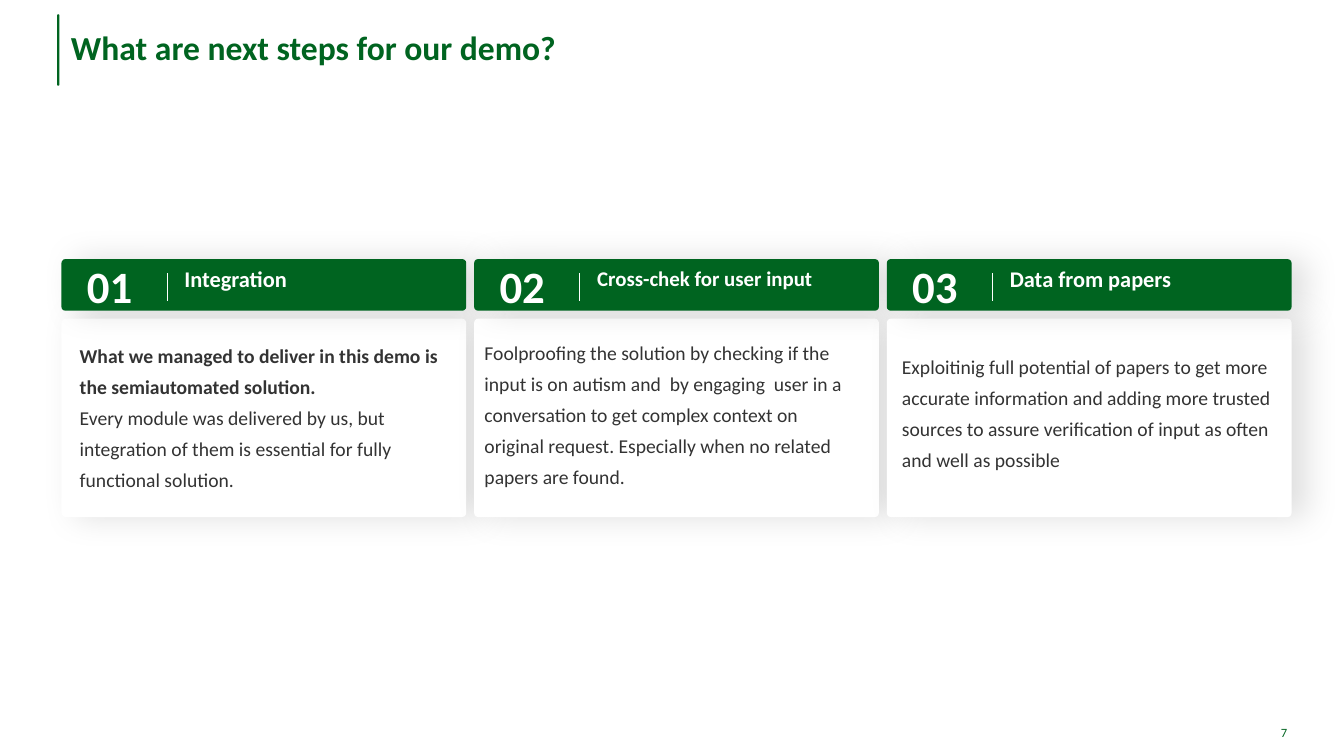
from lxml.etree import SubElement
from pptx import Presentation
from pptx.dml.color import RGBColor
from pptx.enum.shapes import MSO_CONNECTOR, MSO_SHAPE
from pptx.enum.text import MSO_ANCHOR, PP_ALIGN
from pptx.oxml.ns import qn
from pptx.util import Cm, Pt

GREEN = RGBColor(0x00, 0x64, 0x20)
WHITE = RGBColor(0xFF, 0xFF, 0xFF)
BLACK = RGBColor(0x00, 0x00, 0x00)
DARK_GREY = RGBColor(0x33, 0x33, 0x33)
FONT = "Calibri"

CARD_LEFT, CARD_TOP, CARD_WIDTH, CARD_PITCH = 1.55, 6.53, 10.2, 10.4
HEADER_HEIGHT, BODY_OFFSET, BODY_HEIGHT = 1.3, 1.5, 5

STEPS = [
    {
        "heading": "Integration",
        "heading_size": 16,
        "lead": "What we managed to deliver in this demo is the semiautomated solution.",
        "body": "Every module was delivered by us, but integration of them is "
                "essential for fully functional solution.",
        "body_box": (0.46, 1.92, 9.3, 3.95),
    },
    {
        "heading": "Cross-chek for user input",
        "heading_size": 14.9,
        "lead": "",
        "body": "Foolproofing the solution by checking if the input is on autism and  "
                "by engaging  user in a conversation to get complex context on original "
                "request. Especially when no related papers are found.",
        "body_box": (0.26, 1.83, 9.45, 3.95),
    },
    {
        "heading": "Data from papers",
        "heading_size": 16,
        "lead": "",
        "body": "Exploitinig full potential of papers to get more accurate information "
                "and adding more trusted sources to assure verification of input as "
                "often and well as possible",
        "body_box": (0.38, 2.19, 9.45, 3.15),
    },
]


def add_text(slide, box, text, size, color, bold=False, anchor=MSO_ANCHOR.TOP):
    frame = slide.shapes.add_textbox(*map(Cm, box)).text_frame
    frame.word_wrap = True
    frame.vertical_anchor = anchor
    frame.margin_left = frame.margin_right = frame.margin_bottom = 0
    frame.margin_top = Cm(0.03) if anchor == MSO_ANCHOR.TOP else 0
    paragraph = frame.paragraphs[0]
    paragraph.text = text
    paragraph.font.name = FONT
    paragraph.font.size = Pt(size)
    paragraph.font.bold = bold
    paragraph.font.color.rgb = color
    return paragraph


def add_panel(slide, box, color, rounding):
    shape = slide.shapes.add_shape(MSO_SHAPE.ROUNDED_RECTANGLE, *map(Cm, box))
    shape.adjustments[0] = rounding
    shape.fill.solid()
    shape.fill.fore_color.rgb = color
    shape.line.fill.background()
    shape.shadow.inherit = False
    return shape


def add_soft_shadow(shape):
    effects = shape._element.spPr.find(qn("a:effectLst"))
    shadow = SubElement(effects, qn("a:outerShdw"), blurRad=str(Pt(24)),
                        dist=str(Pt(10)), dir="0", algn="l", rotWithShape="0")
    color = SubElement(shadow, qn("a:srgbClr"), val=str(BLACK))
    SubElement(color, qn("a:alpha"), val="13000")


def add_divider(slide, x, top, bottom):
    divider = slide.shapes.add_connector(
        MSO_CONNECTOR.STRAIGHT, Cm(x), Cm(top), Cm(x), Cm(bottom))
    divider.line.color.rgb = WHITE
    divider.line.width = Pt(0.5)
    SubElement(divider._element.spPr, qn("a:effectLst"))


def add_title(slide, left, top, height):
    add_panel(slide, (left, top, 0.06, height), GREEN, 0.5)
    add_text(slide, (left + 0.35, top, 24.9, height), "What are next steps for our demo?",
             24, GREEN, True, MSO_ANCHOR.MIDDLE).line_spacing = 0.9


def add_body(slide, box, lead, body):
    paragraph = add_text(slide, box, "", 14, DARK_GREY)
    paragraph.line_spacing = 1.32
    paragraph.space_before = Pt(0.6)
    if lead:
        lead_run = paragraph.add_run()
        lead_run.text = lead
        lead_run.font.bold = True
        paragraph.add_line_break()
    paragraph.add_run().text = body


def add_step(slide, left, top, number, step):
    body_panel = (left, top + BODY_OFFSET, CARD_WIDTH, BODY_HEIGHT)
    add_soft_shadow(add_panel(slide, body_panel, WHITE, 0.021))
    header_panel = (left, top, CARD_WIDTH, HEADER_HEIGHT)
    add_soft_shadow(add_panel(slide, header_panel, GREEN, 0.076))

    add_text(slide, (left + 0.64, top - 0.03, 1.83, 1.4), f"{number:02}", 32, WHITE, True)
    add_divider(slide, left + 2.66, top + 0.35, top + 1.05)
    add_text(slide, (left + 3.1, top + 0.13, 6.88, 0.7),
             step["heading"], step["heading_size"], WHITE, True)

    x, y, width, height = step["body_box"]
    add_body(slide, (left + x, top + y, width, height), step["lead"], step["body"])


def add_page_number(slide, left, top, width, height):
    paragraph = add_text(slide, (left, top, width, height), "7", 9, GREEN,
                         anchor=MSO_ANCHOR.MIDDLE)
    paragraph.alignment = PP_ALIGN.RIGHT


def main():
    presentation = Presentation()
    presentation.slide_width = Cm(33.87)
    presentation.slide_height = Cm(19.05)
    slide = presentation.slides.add_slide(presentation.slide_layouts[6])
    add_title(slide, 1.44, 0.36, 1.8)
    for index, step in enumerate(STEPS):
        add_step(slide, CARD_LEFT + index * CARD_PITCH, CARD_TOP, index + 1, step)
    add_page_number(slide, 31.44, 18.16, 1.0, 0.6)
    presentation.save("out.pptx")


if __name__ == "__main__":
    main()
